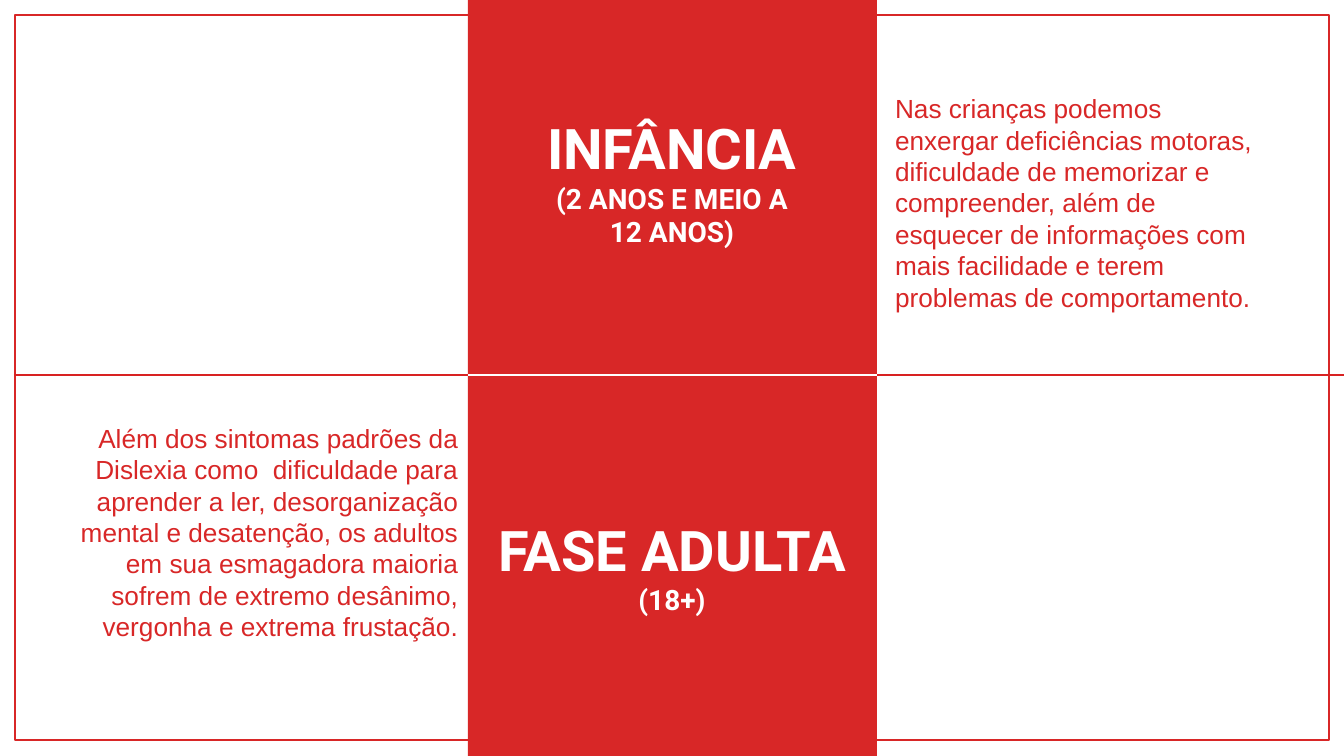
from lxml import etree
from pptx import Presentation
from pptx.dml.color import RGBColor
from pptx.enum.shapes import MSO_CONNECTOR, MSO_SHAPE
from pptx.enum.text import MSO_ANCHOR, MSO_AUTO_SIZE, PP_ALIGN
from pptx.oxml.ns import qn
from pptx.util import Emu, Pt

RECTANGLE = MSO_SHAPE.RECTANGLE
STRAIGHT = MSO_CONNECTOR.STRAIGHT
TOP, MIDDLE = MSO_ANCHOR.TOP, MSO_ANCHOR.MIDDLE
LEFT, CENTER, RIGHT = PP_ALIGN.LEFT, PP_ALIGN.CENTER, PP_ALIGN.RIGHT

COLORS = {
    name: RGBColor.from_string(value)
    for name, value in {"red": "D82727", "rule": "D82222", "white": "FFFFFF"}.items()
}
WIDTH, HEIGHT = 1344, 756
BAND_LEFT, BAND_WIDTH = 468, 409
DIVIDER_Y = 375
INSET = 10


def px(*lengths):
    return [Emu(round(length * 914400 / 100.8)) for length in lengths]


def style(paragraph, font_name, size, color, bold, alignment):
    paragraph.alignment = alignment
    font = paragraph.font
    font.name, font.size, font.bold = font_name, Pt(size), bold
    font.color.rgb = COLORS[color]


presentation = Presentation()
presentation.slide_width, presentation.slide_height = px(WIDTH, HEIGHT)
slide = presentation.slides.add_slide(presentation.slide_layouts[5])
shapes = slide.shapes

# Central band and outer frame
band = shapes.add_shape(RECTANGLE, *px(BAND_LEFT, 0, BAND_WIDTH, HEIGHT))
band.fill.solid()
band.fill.fore_color.rgb = COLORS["red"]
band.line.fill.background()
frame = shapes.add_shape(RECTANGLE, *px(15, 15, 1314, 725))
frame.fill.background()
frame.line.color.rgb = COLORS["red"]
frame.line.width = Pt(1.5)
for shape in (band, frame):
    shape.shadow.inherit = False

# Divider between the two life stages
for start, end, color in [
    (14, BAND_LEFT, "rule"),
    (692, WIDTH, "rule"),
    (BAND_LEFT, BAND_LEFT + BAND_WIDTH, "white"),
]:
    divider = shapes.add_connector(STRAIGHT, *px(start, DIVIDER_Y, end, DIVIDER_Y))
    divider.line.color.rgb = COLORS[color]
    divider.line.width = Pt(0.75)
    etree.SubElement(divider._element.spPr, qn("a:effectLst"))

# Descriptions on either side of the band
for box, text, alignment, anchor in [
    (
        (50, 412, 418, 164),
        "Além dos sintomas padrões da Dislexia como  dificuldade para aprender a ler, "
        "desorganização mental e desatenção, os adultos em sua esmagadora maioria "
        "sofrem de extremo desânimo, vergonha e extrema frustação.",
        RIGHT,
        TOP,
    ),
    (
        (885, 121, 388, 163),
        "Nas crianças podemos enxergar deficiências motoras, dificuldade de memorizar "
        "e compreender, além de esquecer de informações com mais facilidade e terem "
        "problemas de comportamento.",
        LEFT,
        MIDDLE,
    ),
]:
    frame_text = shapes.add_textbox(*px(*box)).text_frame
    frame_text.word_wrap = True
    frame_text.vertical_anchor = anchor
    (frame_text.margin_left, frame_text.margin_top,
     frame_text.margin_right, frame_text.margin_bottom) = px(*[INSET] * 4)
    frame_text.text = text
    style(frame_text.paragraphs[0], "Arial", 18.7, "red", False, alignment)

# Childhood heading
childhood = shapes.add_textbox(*px(520, 109, 304, 214)).text_frame
childhood.word_wrap = False
childhood.text = "INFÂNCIA\n(2 ANOS E MEIO A\n12 ANOS)"
for paragraph, size in zip(childhood.paragraphs, (40, 20, 20)):
    style(paragraph, "Roboto", size, "white", True, CENTER)

# Adulthood title, brought in front of the band
title = shapes.title
title.left, title.top, title.width, title.height = px(BAND_LEFT, 451, 408, 229)
adulthood = title.text_frame
adulthood.auto_size = MSO_AUTO_SIZE.NONE
adulthood.word_wrap = True
adulthood.vertical_anchor = MIDDLE
adulthood.text = "FASE ADULTA\v(18+)"
style(adulthood.paragraphs[0], "Roboto", 40, "white", True, CENTER)
adulthood.paragraphs[0].runs[1].font.size = Pt(20)
title._element.getparent().append(title._element)

presentation.save("out.pptx")
